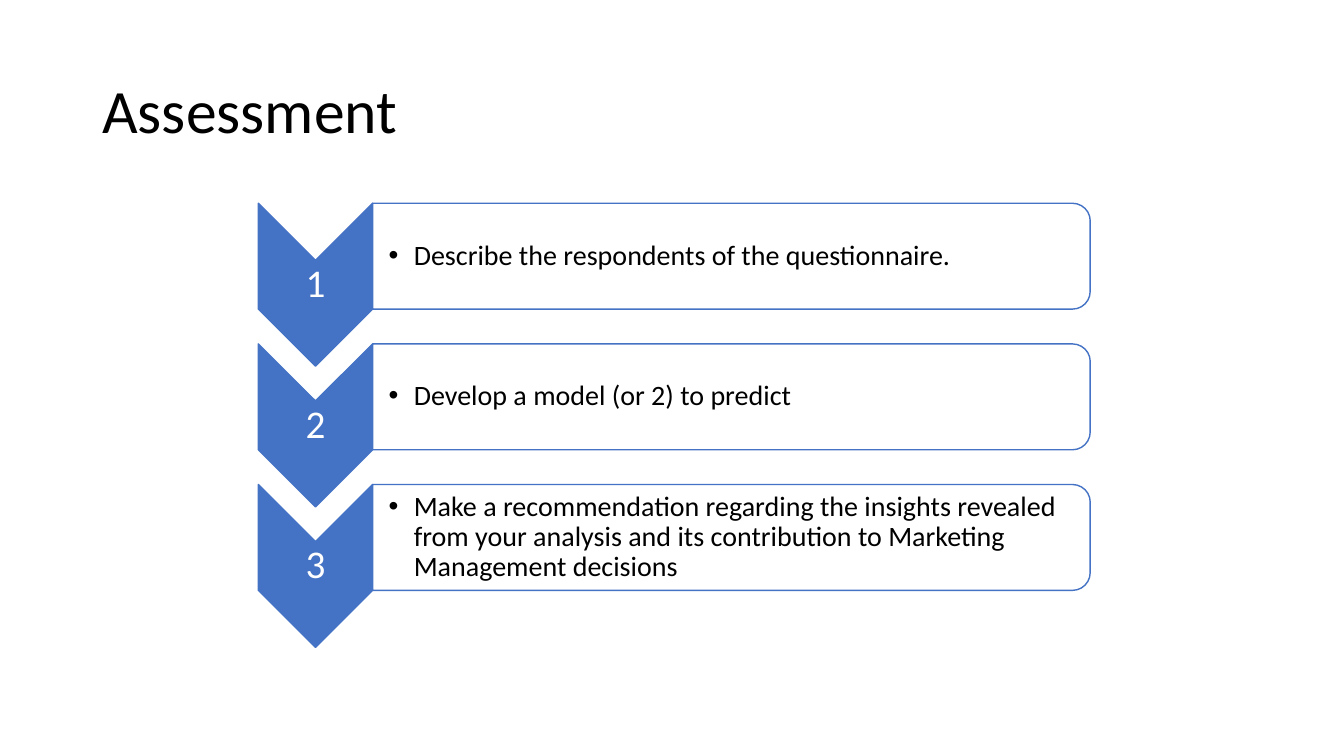
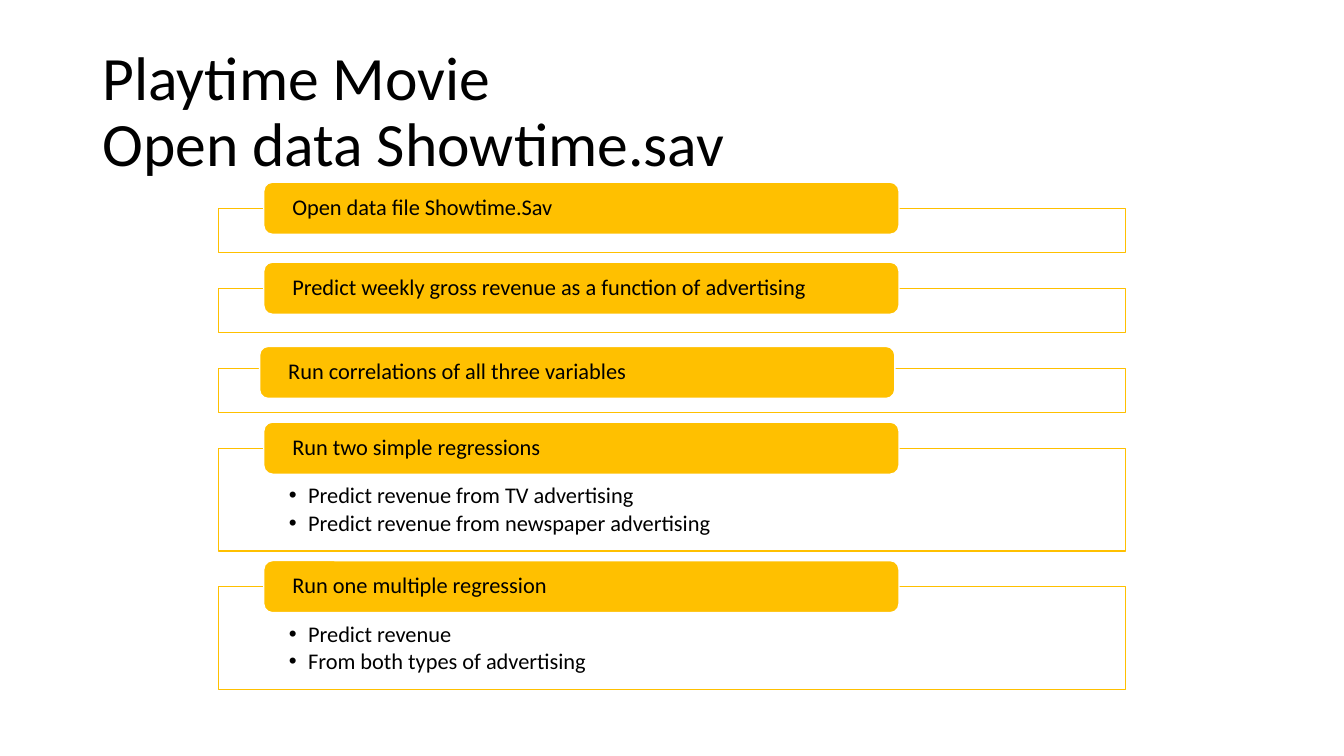
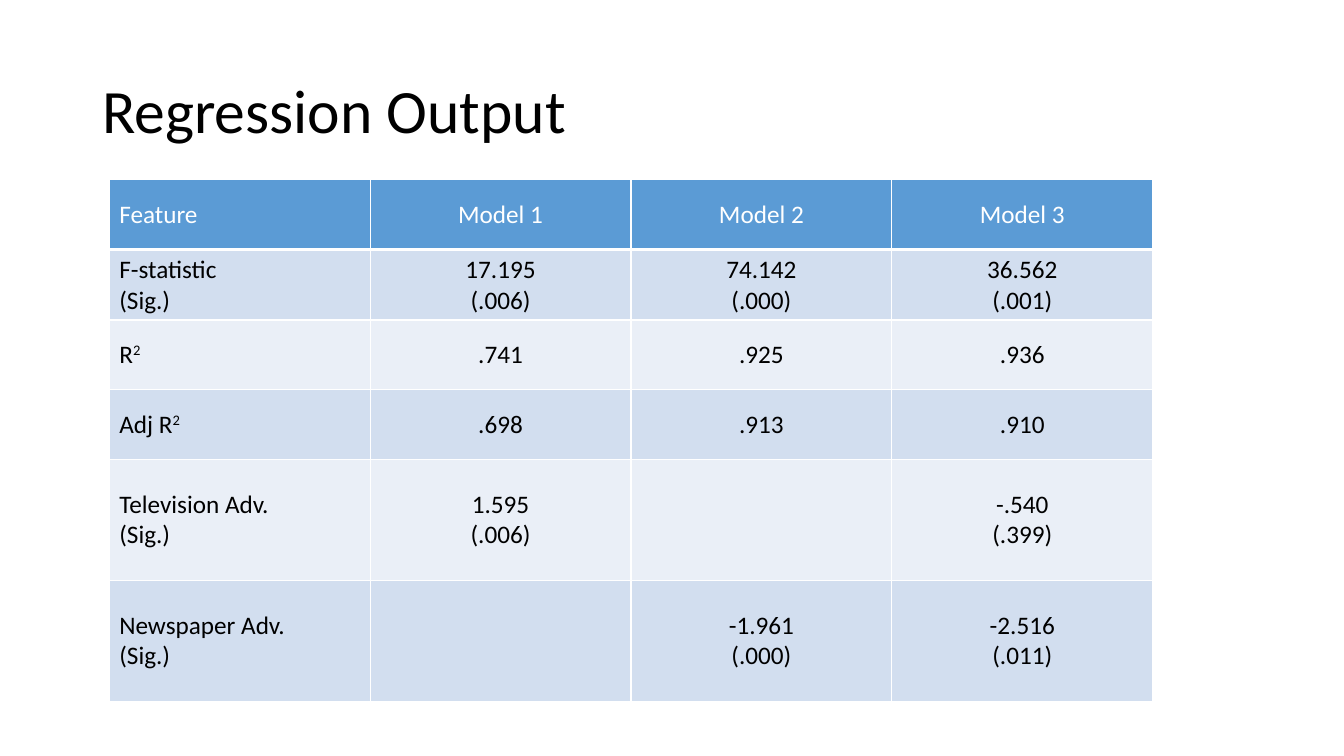
from pptx import Presentation
from pptx.dml.color import RGBColor as RGB
from pptx.enum.shapes import MSO_SHAPE as SHAPE
from pptx.enum.text import MSO_ANCHOR as ANCHOR, PP_ALIGN as ALIGN
from pptx.oxml import parse_xml
from pptx.oxml.ns import nsdecls
from pptx.util import Emu, Inches, Pt

COLORS = {
    "white": "FFFFFF", "black": "000000", "blue": "4472C4", "gold": "FFC000",
    "header": "5B9BD5", "band": "D2DEEF", "pale": "EAEFF7",
}
RGBS = {name: RGB.from_string(value) for name, value in COLORS.items()}
TITLES = ["Assessment", "Playtime Movie\vOpen data Showtime.sav", "Regression Output"]

prs = Presentation()
prs.slide_width, prs.slide_height = Inches(13.33), Inches(7.5)
CELL = prs.slide_height / 90


def add_box(s, kind, box, fill=None, line=None, rotation=0):
    x, y, w, h = box
    if rotation:
        x, y, w, h = x + (w - h) / 2, y + (h - w) / 2, h, w
    place = [Emu(int(v * CELL)) for v in (x, y, w, h)]
    if kind is None:
        return s.shapes.add_textbox(*place)
    sp = s.shapes.add_shape(kind, *place)
    sp.shadow.inherit = False
    sp.rotation = rotation
    sp.fill.solid()
    sp.fill.fore_color.rgb = RGBS[fill]
    sp.line.color.rgb = RGBS[line]
    sp.line.width = Pt(1)
    return sp


def write(tf, lines, size, color="black", align=ALIGN.LEFT, anchor=None,
          insets=None, spacing=0.9, after=0, bullet=0):
    if anchor is not None:
        tf.word_wrap = True
        tf.vertical_anchor = anchor
    for side, inset in zip(("left", "top", "right", "bottom"), insets or ()):
        setattr(tf, f"margin_{side}", Emu(int(inset * CELL)))
    for i, line in enumerate(lines):
        p = tf.add_paragraph() if i else tf.paragraphs[0]
        for k, v in {"alignment": align, "line_spacing": spacing, "space_after": Pt(after)}.items():
            setattr(p, k, v)
        if bullet:
            pPr = p._p.get_or_add_pPr()
            pPr.set("marL", str(Inches(bullet)))
            pPr.set("indent", str(-Inches(bullet)))
            pPr.append(parse_xml(f'<a:buFont {nsdecls("a")} typeface="Arial"/>'))
            pPr.append(parse_xml(f'<a:buChar {nsdecls("a")} char="•"/>'))
        base, _, power = line.partition("^")
        for j, part in enumerate(base.split("\v")):
            if j:
                p.add_line_break()
            p.add_run().text = part
        if power:
            r = p.add_run()
            r.text = power
            r.font._element.set("baseline", "30000")
        for r in p.runs:
            for k, v in {"name": "Calibri", "size": Pt(size), "bold": False}.items():
                setattr(r.font, k, v)
            r.font.color.rgb = RGBS[color]


slides = []
for title in TITLES:
    s = prs.slides.add_slide(prs.slide_layouts[6])
    sp = add_box(s, None, (11, 4.8, 138, 17.4))
    write(sp.text_frame, [title], 44, anchor=ANCHOR.MIDDLE)
    slides.append(s)
assessment, movie, regression = slides

TASKS = [
    "Describe the respondents of the questionnaire.",
    "Develop a model (or 2) to predict",
    "Make a recommendation regarding the insights revealed from your analysis "
    "and its contribution to Marketing Management decisions",
]
for i, task in enumerate(TASKS):
    top = 24.2 + i * 16.74
    add_box(assessment, SHAPE.CHEVRON, (30.75, top, 13.6, 19.4), "blue", "blue", 90)
    sp = add_box(assessment, None, (30.75, top + 6.8, 13.6, 5.8))
    write(sp.text_frame, [str(i + 1)], 28, "white", ALIGN.CENTER, ANCHOR.MIDDLE, [0.2] * 4)
    add_box(assessment, SHAPE.ROUND_2_SAME_RECTANGLE, (44.35, top, 85.4, 12.6), "white", "blue", 90)
    sp = add_box(assessment, None, (44.35, top + 0.65, 84.8, 11.3))
    write(sp.text_frame, [task], 20, anchor=ANCHOR.MIDDLE, insets=(1.9, 0.1, 0.1, 0.1), bullet=0.25)

STEPS = [
    ("Open data file Showtime.Sav", [], 0, 0),
    ("Predict weekly gross revenue as a function of advertising", [], 0, 0),
    ("Run correlations of all three variables", [], -0.5, 0.5),
    ("Run two simple regressions",
     ["Predict revenue from TV advertising", "Predict revenue from newspaper advertising"], 0, 0),
    ("Run one multiple regression",
     ["Predict revenue", "From both types of advertising"], 0, 0),
]
top = 24.8
for heading, details, dx, dy in STEPS:
    height = 12.24 if details else 5.28
    sp = add_box(movie, SHAPE.RECTANGLE, (26, top, 108, height), "white", "gold")
    if details:
        write(sp.text_frame, details, 16, anchor=ANCHOR.TOP,
              insets=(8.4, 4.3, 8.4, 1.4), after=2.4, bullet=0.19)
    sp = add_box(movie, SHAPE.ROUNDED_RECTANGLE,
                 (31.4 + dx, top - 3.1 + dy, 75.6, 6.2), "gold", "white")
    write(sp.text_frame, [heading], 16, anchor=ANCHOR.MIDDLE, insets=(3.1, 0, 3.1, 0))
    top += height + 4.24

ROWS = [
    ("Feature", "Model 1", "Model 2", "Model 3"),
    ("F-statistic\n(Sig.)", "17.195\n(.006)", "74.142\n(.000)", "36.562\n(.001)"),
    ("R^2", ".741", ".925", ".936"),
    ("Adj R^2", ".698", ".913", ".910"),
    ("Television Adv.\n(Sig.)", "1.595\n(.006)", "", "-.540\n(.399)"),
    ("Newspaper Adv.\n(Sig.)", "", "-1.961\n(.000)", "-2.516\n(.011)"),
]
HEIGHTS = [8.3] * 4 + [14.4] * 2
place = [Emu(int(v * CELL)) for v in (13, 21.4, 124.2, sum(HEIGHTS))]
table = regression.shapes.add_table(len(ROWS), len(ROWS[0]), *place).table
for i, (row, height) in enumerate(zip(ROWS, HEIGHTS)):
    table.rows[i].height = Emu(int(height * CELL))
    for j, text in enumerate(row):
        cell = table.cell(i, j)
        cell.vertical_anchor = ANCHOR.MIDDLE
        cell.fill.solid()
        cell.fill.fore_color.rgb = RGBS["header" if i == 0 else "band" if i % 2 else "pale"]
        for k, edge in enumerate("LRTB"):
            width = Pt(3 if i == 0 and edge == "B" else 1)
            cell._tc.get_or_add_tcPr().insert(k, parse_xml(
                f'<a:ln{edge} {nsdecls("a")} w="{width}"><a:solidFill>'
                f'<a:srgbClr val="{COLORS["white"]}"/></a:solidFill></a:ln{edge}>'))
        if text:
            write(cell.text_frame, text.split("\n"), 18, "black" if i else "white",
                  ALIGN.CENTER if j else ALIGN.LEFT, spacing=1.0)

prs.save("out.pptx")
